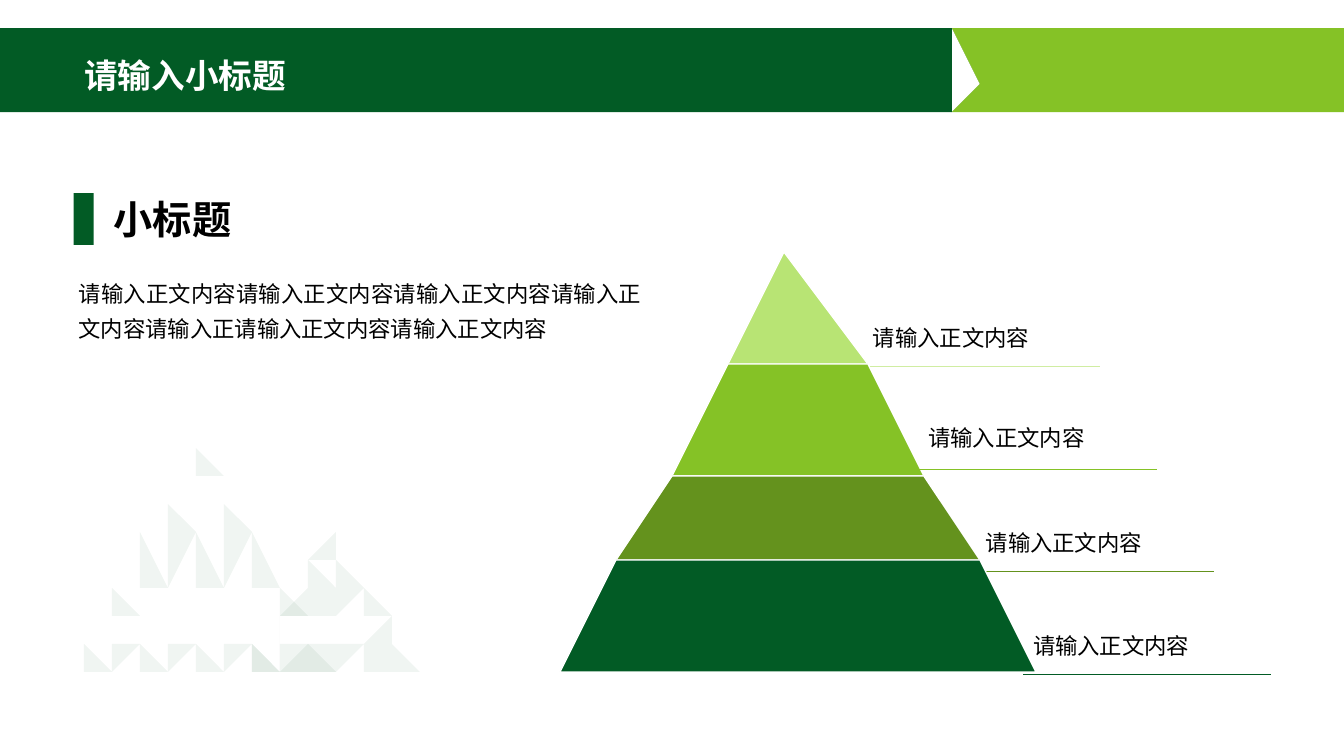
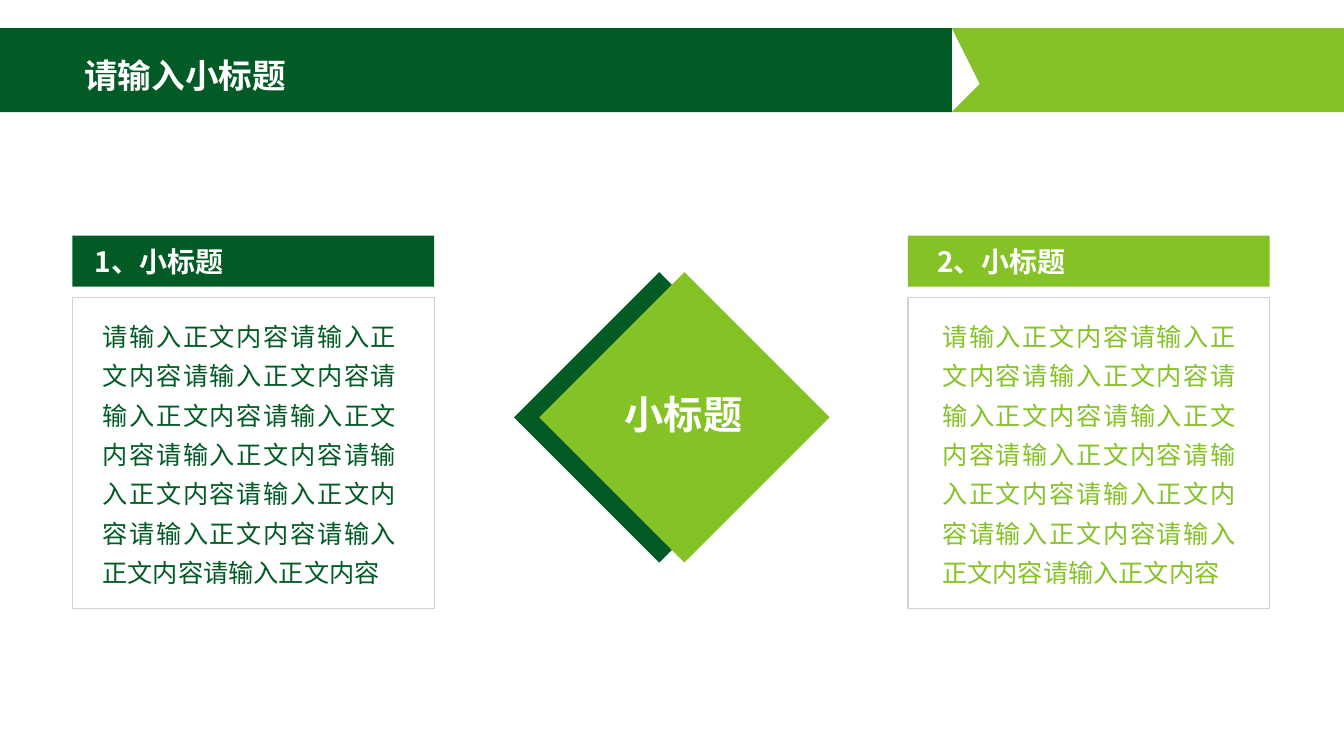
from dataclasses import dataclass

from lxml import etree
from pptx import Presentation
from pptx.dml.color import RGBColor
from pptx.enum.shapes import MSO_CONNECTOR, MSO_SHAPE
from pptx.enum.text import MSO_ANCHOR, PP_ALIGN
from pptx.oxml.ns import qn
from pptx.util import Emu, Pt

RECTANGLE, DIAMOND = MSO_SHAPE.RECTANGLE, MSO_SHAPE.DIAMOND
STRAIGHT = MSO_CONNECTOR.STRAIGHT
TOP, MIDDLE = MSO_ANCHOR.TOP, MSO_ANCHOR.MIDDLE
LEFT, JUSTIFY = PP_ALIGN.LEFT, PP_ALIGN.JUSTIFY


@dataclass(frozen=True)
class Theme:
    font: str = "Noto Sans CJK SC"
    dark: str = "025B25"
    olive: str = "64921D"
    green: str = "85C226"
    light: str = "B8E474"
    pale: str = "D0EDA2"
    frame: str = "D3D3D3"
    white: str = "FFFFFF"
    black: str = "000000"
    heading: int = 28
    title: int = 24
    bar: int = 20
    body: int = 18
    label: int = 16


theme = Theme()
COLUMNS, ROWS = 48, 27
GRID = 254000
INSET = 0.36


def add_box(shapes, box, text="", preset=None, fill=None, line=None, size=theme.label,
            color=theme.black, bold=False, anchor=MIDDLE, align=LEFT, spacing=1.0,
            after=0, inset=INSET, wrap=True):
    place = [Emu(round(value * GRID)) for value in box]
    if preset is None:
        shape = shapes.add_textbox(*place)
    else:
        shape = shapes.add_shape(preset, *place)
        shape.shadow.inherit = False
        if fill:
            shape.fill.solid()
            shape.fill.fore_color.rgb = RGBColor.from_string(fill)
        else:
            shape.fill.background()
        if line:
            shape.line.color.rgb = RGBColor.from_string(line)
            shape.line.width = Pt(0.75)
        else:
            shape.line.fill.background()
    if text:
        frame = shape.text_frame
        frame.word_wrap = wrap
        frame.vertical_anchor = anchor
        frame.margin_left = Emu(round(inset * GRID))
        paragraph = frame.paragraphs[0]
        paragraph.alignment = align
        paragraph.line_spacing = spacing
        paragraph.space_after = Pt(after)
        run = paragraph.add_run()
        run.text = text
        run.font.size = Pt(size)
        run.font.bold = bold
        run.font.color.rgb = RGBColor.from_string(color)
        run.font.name = theme.font
        east_asian = etree.SubElement(run.font._element, qn("a:ea"))
        east_asian.set("typeface", theme.font)


def draw_outline(shapes, contours, fill, line=None, opacity=None):
    builder = shapes.build_freeform(*contours[0][0], scale=GRID)
    for index, contour in enumerate(contours):
        if index:
            builder.move_to(*contour[0])
        builder.add_line_segments(contour[1:], close=True)
    shape = builder.convert_to_shape()
    shape.shadow.inherit = False
    shape.fill.solid()
    shape.fill.fore_color.rgb = RGBColor.from_string(fill)
    if opacity:
        color = shape.element.spPr.find(qn("a:solidFill"))[0]
        etree.SubElement(color, qn("a:alpha")).set("val", str(opacity * 1000))
    if line:
        shape.line.color.rgb = RGBColor.from_string(line)
        shape.line.width = Pt(1)
    else:
        shape.line.fill.background()


presentation = Presentation()
presentation.slide_width = Emu(COLUMNS * GRID)
presentation.slide_height = Emu(ROWS * GRID)
blank_layout = presentation.slide_layouts[6]

BAND_TOP, BAND_MIDDLE, BAND_BOTTOM = 1.35, 2.7, 4.05
TIP = 0.8
band_parts = [
    (0, 33.6, 0, TIP, theme.dark),
    (33.84, 34.16, TIP, TIP, theme.dark),
    (34.42, COLUMNS, TIP, 0, theme.green),
]
for _ in range(2):
    slide = presentation.slides.add_slide(blank_layout)
    for left, right, notch, tip, color in band_parts:
        outline = [(left, BAND_TOP), (right, BAND_TOP), (right + tip, BAND_MIDDLE),
                   (right, BAND_BOTTOM), (left, BAND_BOTTOM), (left + notch, BAND_MIDDLE)]
        draw_outline(slide.shapes, [outline], color)
    add_box(slide.shapes, (2.66, 1.58, 29.88, 2.38), "请输入小标题", size=theme.title,
            color=theme.white, bold=True, spacing=0.9)
pyramid_slide, compare_slide = presentation.slides

shapes = pyramid_slide.shapes
APEX, PEAK = 28.48, 9.46
LEVEL_HEIGHT, LEVEL_SPREAD = 3.66, 2.03
RULE_LENGTH = 8.85
levels = [
    (theme.light, theme.pale, 30.82, 10.98),
    (theme.green, theme.green, 32.8, 14.54),
    (theme.olive, theme.olive, 34.85, 18.29),
    (theme.dark, theme.dark, 36.54, 21.96),
]
for index, (color, rule_color, label_left, label_top) in enumerate(levels):
    upper, lower = PEAK + index * LEVEL_HEIGHT, PEAK + (index + 1) * LEVEL_HEIGHT
    narrow, wide = index * LEVEL_SPREAD, (index + 1) * LEVEL_SPREAD
    outline = [(APEX - wide, lower), (APEX - narrow, upper),
               (APEX + narrow, upper), (APEX + wide, lower)]
    draw_outline(shapes, [outline], color, line=theme.white)
    rule_left, rule_top = APEX + wide - 0.06, lower - 0.03
    ends = (rule_left, rule_top, rule_left + RULE_LENGTH, rule_top)
    rule = shapes.add_connector(STRAIGHT, *[Emu(round(value * GRID)) for value in ends])
    rule.line.color.rgb = RGBColor.from_string(rule_color)
    rule.line.width = Pt(0.5)
    etree.SubElement(rule.element.spPr, qn("a:effectLst"))
    add_box(shapes, (label_left, label_top, 8.5, 2.16), "请输入正文内容")

add_box(shapes, (2.45, 9.54, 20.84, 3.67),
        "请输入正文内容请输入正文内容请输入正文内容请输入正文内容请输入正请输入正文内容请输入正文内容",
        anchor=TOP, align=JUSTIFY, spacing=1.3, after=6)
add_box(shapes, (3.71, 6.7, 12.74, 2.23), "小标题", size=theme.heading, bold=True)
add_box(shapes, (2.63, 6.9, 0.72, 1.85), preset=RECTANGLE, fill=theme.dark)

for center, top, size in [(7.31, 16.06, 9.36), (11.83, 19.08, 5.86)]:
    step, pitch = 0.21 * size, 0.18 * size
    half, height, lift = 0.08 * size, 0.14 * size, 0.01 * size
    triangles = []
    for row in range(5):
        row_top = top + row * pitch
        for column in range(row + 1):
            x = center + (column - row / 2) * step
            if row != 3 or column in (0, row):
                triangles.append([(x, row_top), (x + half, row_top + height),
                                  (x - half, row_top + height)])
            if row in (2, 4) and column < row:
                x += step / 2
                triangles.append([(x - half, row_top - lift), (x + half, row_top - lift),
                                  (x, row_top - lift + height)])
    draw_outline(shapes, triangles, theme.dark, opacity=6)

shapes = compare_slide.shapes
PANEL_WIDTH = 12.92
panels = [
    (2.59, "1、小标题", 0.8, 0.72, theme.dark),
    (32.43, "2、小标题", 1.04, 0.87, theme.green),
]
for left, heading, heading_inset, body_shift, color in panels:
    add_box(shapes, (left, 10.62, PANEL_WIDTH, 11.12), preset=RECTANGLE, line=theme.frame)
    add_box(shapes, (left, 8.42, PANEL_WIDTH, 1.82), heading, preset=RECTANGLE, fill=color,
            size=theme.bar, color=theme.white, bold=True, inset=heading_inset)
    add_box(shapes, (left + body_shift, 10.98, 11.2, 10.15), "请输入正文内容" * 11,
            size=theme.body, color=color, anchor=TOP, align=JUSTIFY, spacing=1.3)

center_shapes = shapes.add_group_shape().shapes
for left, color in [(18.36, theme.dark), (19.26, theme.green)]:
    add_box(center_shapes, (left, 9.72, 10.37, 10.37), preset=DIAMOND, fill=color)
add_box(center_shapes, (21.96, 13.75, 4.97, 2.05), "小标题", size=theme.heading,
        color=theme.white, bold=True, anchor=TOP, wrap=False)

presentation.save("out.pptx")
